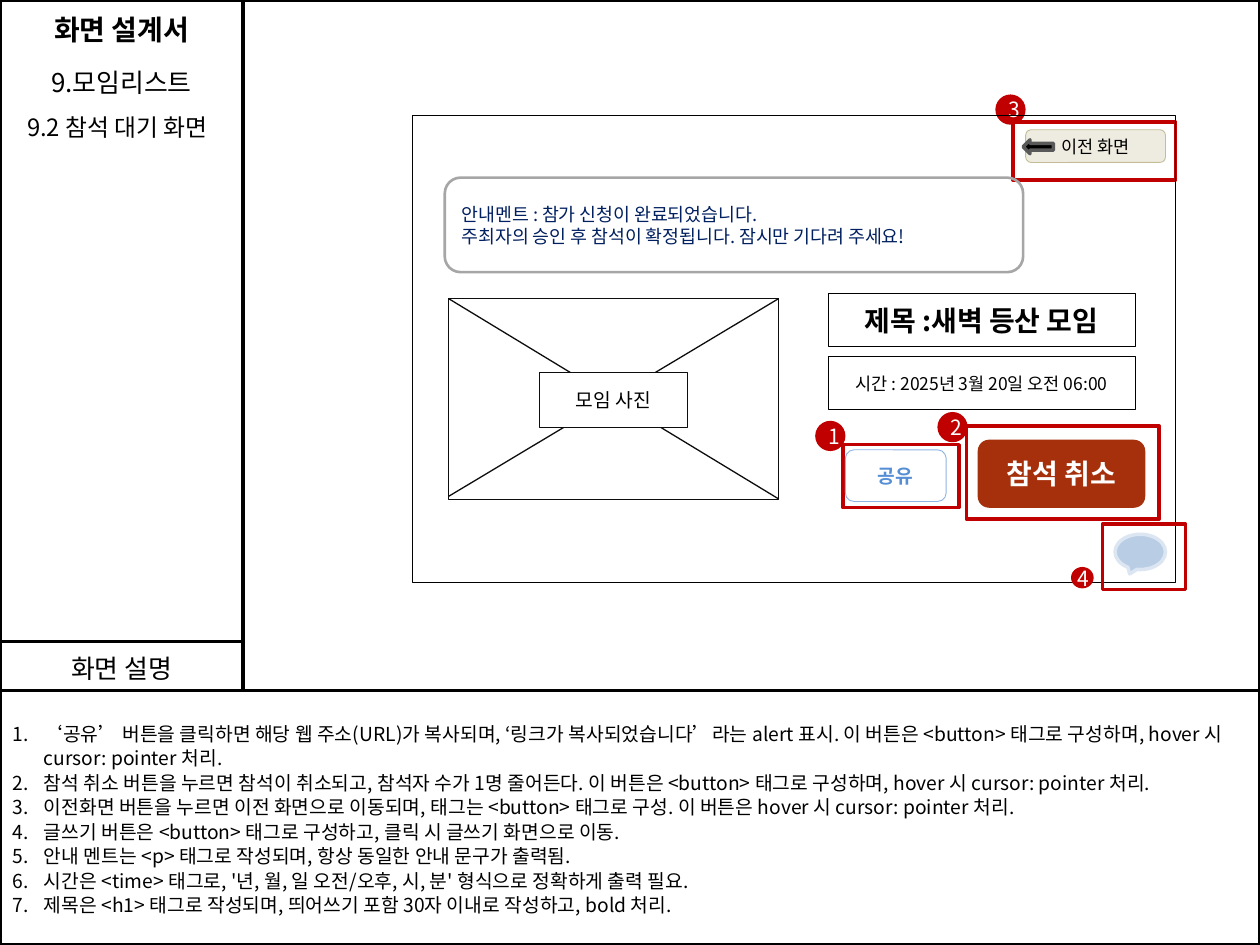
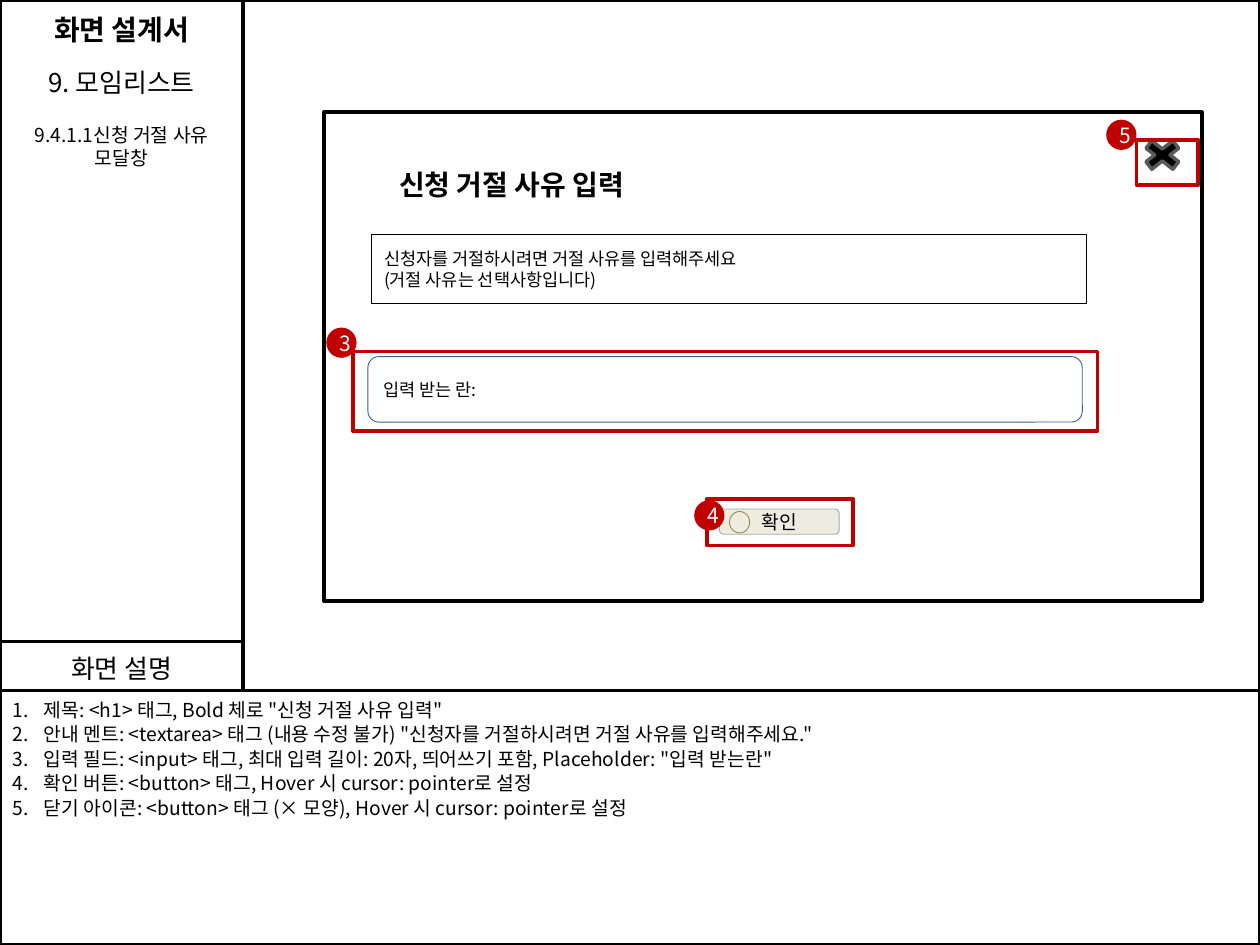
from lxml.etree import SubElement
from pptx import Presentation
from pptx.dml.color import RGBColor
from pptx.enum.shapes import MSO_CONNECTOR, MSO_SHAPE
from pptx.enum.text import MSO_ANCHOR, MSO_AUTO_SIZE, PP_ALIGN
from pptx.oxml.ns import qn
from pptx.util import Emu, Pt

EMU_PER_PX = 9144  # 100 px to the inch
FONT = "Noto Sans CJK KR"
COLORS = {
    "black": "000000", "ink": "0D0D0D", "white": "FFFFFF", "marker": "C00000",
    "message": "002060", "gray": "A6A6A6", "icon_edge": "595959",
    "beige": "EEECE1", "beige_edge": "C4BD97", "olive": "948A54",
    "cancel": "A5300B", "share": "558ED5", "share_edge": "8EB4E3",
    "bubble": "B9CDE5", "bubble_edge": "DCE6F2", "input_edge": "3A5F8C",
}
PAGE_W, PAGE_H = 1000, 750
SIDEBAR_W, NOTES_TOP, LABEL_TOP = 193, 548, 509
BADGE = 24

WAITING_NOTES = [
    "‘공유’ 버튼을 클릭하면 해당 웹 주소(URL)가 복사되며, ‘링크가 복사되었습니다’라는 alert 표시. "
    "이 버튼은 <button> 태그로 구성하며, hover 시 cursor: pointer 처리.",
    "참석 취소 버튼을 누르면 참석이 취소되고, 참석자 수가 1명 줄어든다. "
    "이 버튼은 <button> 태그로 구성하며, hover 시 cursor: pointer 처리.",
    "이전화면 버튼을 누르면 이전 화면으로 이동되며, 태그는 <button> 태그로 구성. "
    "이 버튼은 hover 시 cursor: pointer 처리.",
    "글쓰기 버튼은 <button> 태그로 구성하고, 클릭 시 글쓰기 화면으로 이동.",
    "안내 멘트는 <p> 태그로 작성되며, 항상 동일한 안내 문구가 출력됨.",
    "시간은 <time> 태그로, '년, 월, 일 오전/오후, 시, 분' 형식으로 정확하게 출력 필요.",
    "제목은 <h1> 태그로 작성되며, 띄어쓰기 포함 30자 이내로 작성하고, bold 처리.",
]
REJECT_NOTES = [
    '제목: <h1> 태그, Bold 체로 "신청 거절 사유 입력"',
    '안내 멘트: <textarea> 태그 (내용 수정 불가) "신청자를 거절하시려면 거절 사유를 입력해주세요."',
    '입력 필드: <input> 태그, 최대 입력 길이: 20자, 띄어쓰기 포함, Placeholder: "입력 받는란"',
    "확인 버튼: <button> 태그, Hover 시 cursor: pointer로 설정",
    "닫기 아이콘: <button> 태그 (× 모양), Hover 시 cursor: pointer로 설정",
]


def px(*lengths):
    return [Emu(length * EMU_PER_PX) for length in lengths]


def rgb(color):
    return RGBColor.from_string(COLORS[color])


def write(frame, lines, size, color="black", bold=False, align=PP_ALIGN.CENTER,
          anchor=MSO_ANCHOR.MIDDLE, spacing=None, numbered=False):
    """Fill a text frame with one paragraph per line."""
    frame.word_wrap = True
    frame.auto_size = MSO_AUTO_SIZE.NONE
    frame.vertical_anchor = anchor
    for index, line in enumerate(lines):
        paragraph = frame.add_paragraph() if index else frame.paragraphs[0]
        paragraph.alignment = align
        if numbered:
            number_paragraph(paragraph)
        if spacing:
            paragraph.line_spacing = spacing
        run = paragraph.add_run()
        run.text = line
        run.font.size = Pt(size)
        run.font.bold = bold
        run.font.color.rgb = rgb(color)
        run.font.name = FONT
        SubElement(run.font._element, qn("a:ea"), typeface=FONT)


def number_paragraph(paragraph):
    properties = paragraph._p.get_or_add_pPr()
    hanging = px(25)[0]
    properties.set("marL", str(hanging))
    properties.set("indent", str(-hanging))
    SubElement(properties, qn("a:buAutoNum"), type="arabicPeriod")


def add_box(slide, area, kind=MSO_SHAPE.RECTANGLE, fill=None, line=None,
            width=0.5, lines=(), size=10, **style):
    box = slide.shapes.add_shape(kind, *px(*area))
    box.shadow.inherit = False
    if fill:
        box.fill.solid()
        box.fill.fore_color.rgb = rgb(fill)
    else:
        box.fill.background()
    if line:
        box.line.color.rgb = rgb(line)
        box.line.width = Pt(width)
    else:
        box.line.fill.background()
    if lines:
        write(box.text_frame, lines, size, **style)


def add_rounded(slide, area, **style):
    add_box(slide, area, MSO_SHAPE.ROUNDED_RECTANGLE, **style)


def add_frame(slide, area):
    add_box(slide, area, line="black", width=2)


def add_marker(slide, area):
    """Red outline around a part that the notes explain."""
    add_box(slide, area, line="marker", width=2)


def add_badge(slide, number, left, top, width=BADGE, height=BADGE):
    add_box(slide, (left, top, width, height), MSO_SHAPE.OVAL, fill="marker",
            lines=[str(number)], size=12, color="white")


def add_text(slide, area, lines, size, **style):
    write(slide.shapes.add_textbox(*px(*area)).text_frame, lines, size, **style)


def add_line(slide, start, end):
    line = slide.shapes.add_connector(MSO_CONNECTOR.STRAIGHT, *px(*start, *end))
    line.line.color.rgb = rgb("ink")
    line.line.width = Pt(0.75)
    SubElement(line._element.spPr, qn("a:effectLst"))


def add_spec_slide(deck, section, notes, notes_top):
    """Add the page grid, sidebar headings and numbered notes that all slides share."""
    slide = deck.slides.add_slide(deck.slide_layouts[5])
    title = slide.shapes.title
    title.left, title.top, title.width, title.height = px(0, 0, SIDEBAR_W, 47)
    write(title.text_frame, ["화면 설계서"], 16, bold=True)
    add_frame(slide, (0, 0, PAGE_W, NOTES_TOP))
    add_frame(slide, (0, NOTES_TOP, PAGE_W, PAGE_H - NOTES_TOP))
    add_frame(slide, (0, 0, SIDEBAR_W, NOTES_TOP))
    add_frame(slide, (0, LABEL_TOP, SIDEBAR_W, NOTES_TOP - LABEL_TOP))
    for top, heading in ((52, section), (517, "화면 설명")):
        add_text(slide, (0, top, SIDEBAR_W, 31), [heading], 14.8, spacing=0.8)
    add_text(slide, (0, notes_top, PAGE_W, PAGE_H - notes_top), notes, 11,
             align=PP_ALIGN.LEFT, anchor=MSO_ANCHOR.TOP, spacing=Pt(14), numbered=True)
    return slide


def add_photo_placeholder(slide, left, top, width, height):
    right, bottom = left + width, top + height
    add_box(slide, (left, top, width, height), MSO_SHAPE.FLOWCHART_PROCESS,
            fill="white", line="ink")
    add_line(slide, (left, top), (right, bottom))
    add_line(slide, (left, bottom - 2), (right, top))
    add_box(slide, (left + 72, top + 59, 118, 43), MSO_SHAPE.FLOWCHART_PROCESS,
            fill="white", line="ink", lines=["모임 사진"], size=11)


def build_waiting_screen(deck):
    slide = add_spec_slide(deck, "9.모임리스트", WAITING_NOTES, 567)
    add_text(slide, (0, 87, 186, 31), ["9.2 참석 대기 화면"], 13.6, spacing=0.9)

    add_marker(slide, (804, 97, 129, 46))
    add_marker(slide, (669, 353, 92, 50))
    for number, left, top in ((1, 647, 334), (2, 744, 327), (3, 790, 75)):
        add_badge(slide, number, left, top)

    add_box(slide, (327, 92, 606, 370), MSO_SHAPE.FLOWCHART_PROCESS, line="black")
    add_rounded(slide, (353, 141, 459, 75), line="gray", width=1.5, size=10.5,
                color="message", align=PP_ALIGN.LEFT,
                lines=["안내멘트 : 참가 신청이 완료되었습니다.",
                       "주최자의 승인 후 참석이 확정됩니다. 잠시만 기다려 주세요!"])
    add_rounded(slide, (814, 103, 111, 26), fill="beige", line="beige_edge",
                lines=["이전 화면"])
    add_box(slide, (812, 111, 24, 11), MSO_SHAPE.LEFT_ARROW, fill="black",
            line="icon_edge", width=2)
    add_photo_placeholder(slide, 356, 237, 262, 159)

    meeting_facts = (("제목 :새벽 등산 모임", 16, True),
                     ("시간 : 2025년 3월 20일 오전 06:00", 10, False))
    for row, (fact, size, bold) in enumerate(meeting_facts):
        add_box(slide, (657, 233 + 50 * row, 244, 42), fill="white", line="black",
                width=0.25, lines=[fact], size=size, bold=bold)

    add_rounded(slide, (776, 349, 133, 54), fill="cancel", lines=["참석 취소"],
                size=16, color="white", bold=True)
    add_rounded(slide, (671, 357, 80, 41), line="share_edge", lines=["공유"],
                size=11, color="share", bold=True)
    add_marker(slide, (767, 338, 153, 74))
    add_box(slide, (885, 424, 40, 28), MSO_SHAPE.OVAL_CALLOUT, fill="bubble",
            line="bubble_edge", width=2)
    add_marker(slide, (875, 416, 66, 52))
    add_badge(slide, 4, 850, 450, 18, 17)


def build_reject_dialog(deck):
    slide = add_spec_slide(deck, "9. 모임리스트", REJECT_NOTES, NOTES_TOP)
    add_text(slide, (0, 92, SIDEBAR_W, 48), ["9.4.1.1신청 거절 사유 모달창"], 11)

    add_frame(slide, (257, 89, 697, 388))
    add_box(slide, (280, 126, 252, 40), MSO_SHAPE.FLOWCHART_PROCESS, fill="white",
            line="white", width=2, lines=["신청 거절 사유 입력"], size=16, bold=True)
    add_box(slide, (295, 186, 567, 55), fill="white", line="black", width=0.25,
            align=PP_ALIGN.LEFT,
            lines=["신청자를 거절하시려면 거절 사유를 입력해주세요",
                   "(거절 사유는 선택사항입니다)"])
    add_rounded(slide, (292, 283, 567, 52), fill="white", line="input_edge",
                align=PP_ALIGN.LEFT, lines=["입력 받는 란:"])
    add_rounded(slide, (571, 404, 95, 20), fill="beige", line="gray",
                lines=["확인"], size=11)
    add_box(slide, (579, 406, 16, 17), MSO_SHAPE.OVAL, fill="beige", line="olive")
    add_box(slide, (902, 107, 41, 32), MSO_SHAPE.MATH_MULTIPLY, fill="black",
            line="icon_edge", width=2)

    for area in ((902, 111, 49, 36), (561, 396, 116, 37), (280, 279, 591, 63)):
        add_marker(slide, area)
    for number, left, top in ((5, 878, 95), (4, 551, 397), (3, 259, 260)):
        add_badge(slide, number, left, top)


def main():
    deck = Presentation()
    deck.slide_width, deck.slide_height = px(PAGE_W, PAGE_H)
    build_waiting_screen(deck)
    build_reject_dialog(deck)
    deck.save("out.pptx")


if __name__ == "__main__":
    main()
